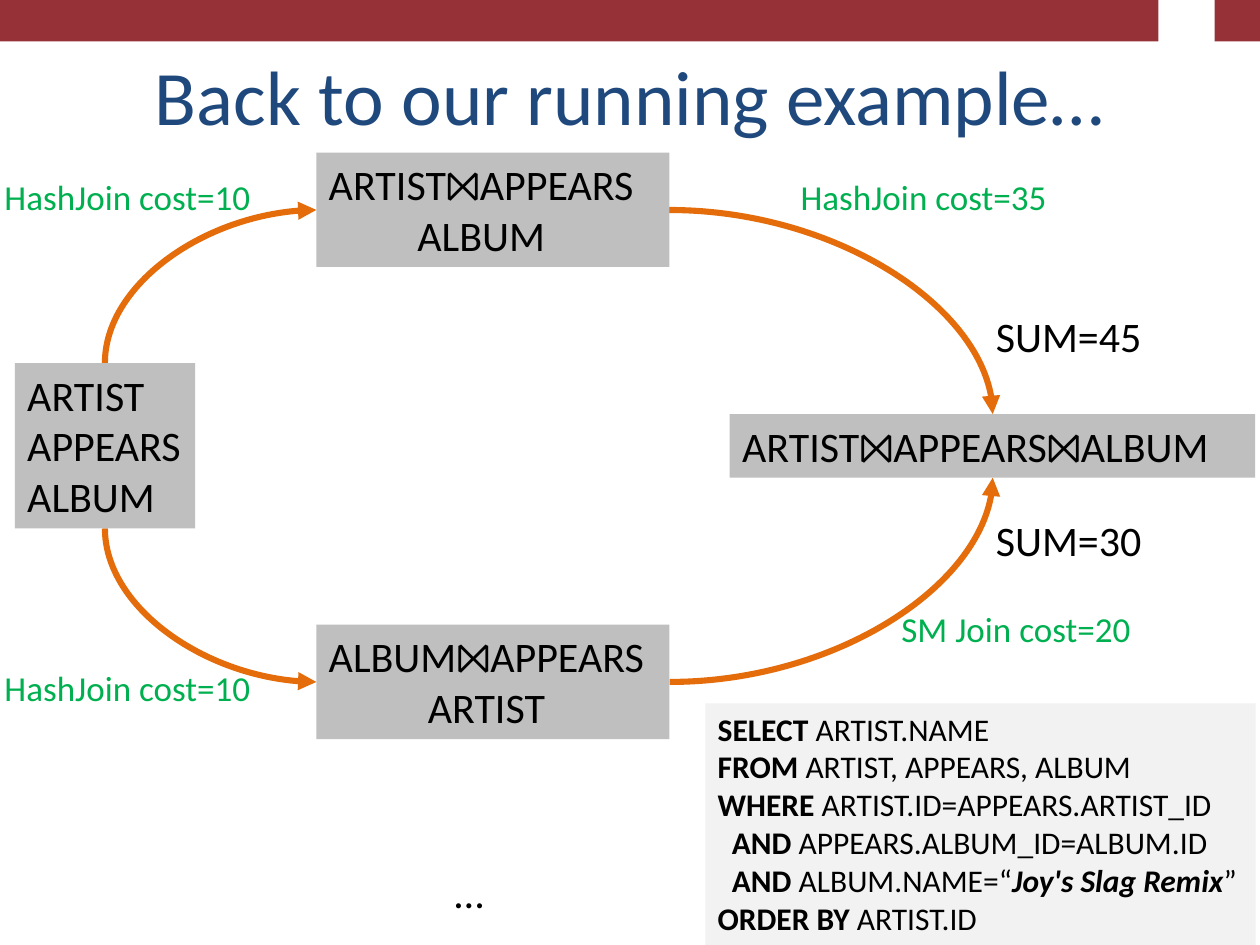
"""Build a slide comparing two join orders for the running SQL example."""
from lxml.etree import SubElement
from pptx import Presentation
from pptx.dml.color import RGBColor
from pptx.enum.shapes import MSO_CONNECTOR, MSO_SHAPE
from pptx.enum.text import MSO_ANCHOR, MSO_AUTO_SIZE, PP_ALIGN
from pptx.oxml.ns import qn
from pptx.util import Pt

RED = RGBColor(0x96, 0x32, 0x37)
NAVY = RGBColor(0x1F, 0x49, 0x7D)
ORANGE = RGBColor(0xE4, 0x6C, 0x0A)
GREEN = RGBColor(0x00, 0xB0, 0x50)
BLACK = RGBColor(0, 0, 0)
GRAY = RGBColor(0xBF, 0xBF, 0xBF)
PALE = RGBColor(0xF2, 0xF2, 0xF2)

deck = Presentation()
deck.slide_width, deck.slide_height = Pt(720), Pt(540)
page = deck.slides.add_slide(deck.slide_layouts[6])


def add_text(text, at, size=24, color=BLACK, fill=None, aligns=(PP_ALIGN.LEFT,),
             anchor=MSO_ANCHOR.TOP, wrap=False, italic=None):
    """Write paragraphs split by newline, lines by \\v and bold spans between bars."""
    place = [Pt(length) for length in at]
    if fill is None:
        box = page.shapes.add_textbox(*place)
    else:
        box = page.shapes.add_shape(MSO_SHAPE.RECTANGLE, *place)
        box.shadow.inherit = False
        box.fill.solid()
        box.fill.fore_color.rgb = fill
        box.line.fill.background()
    frame = box.text_frame
    frame.word_wrap = wrap
    frame.auto_size = MSO_AUTO_SIZE.NONE if wrap else MSO_AUTO_SIZE.SHAPE_TO_FIT_TEXT
    frame.vertical_anchor = anchor
    for index, content in enumerate(text.split("\n")):
        para = frame.paragraphs[0] if index == 0 else frame.add_paragraph()
        para.alignment = aligns[min(index, len(aligns) - 1)]
        para.font.size = Pt(size)
        for row, line in enumerate(content.split("\v")):
            if row:
                para.add_line_break()
            for order, piece in enumerate(line.split("|")):
                if piece:
                    span = para.add_run()
                    span.text = piece
                    span.font.name = "Calibri"
                    span.font.size = Pt(size)
                    span.font.color.rgb = color
                    span.font.bold = order % 2 == 1
                    span.font.italic = piece == italic


for left, width in ((0, 662), (694, 26)):
    band = page.shapes.add_shape(MSO_SHAPE.RECTANGLE, Pt(left), Pt(0), Pt(width), Pt(23.6))
    band.shadow.inherit = False
    band.fill.solid()
    band.fill.fore_color.rgb = RED
    band.line.fill.background()

for start, end, turn in (
    ((60, 207.4), (180.8, 120), 1),
    ((60, 302), (180.8, 389.7), -1),
    ((382.3, 120), (567.3, 236.6), 0),
    ((382.7, 389.7), (567.3, 273), 0),
):
    across, down = end[0] - start[0], end[1] - start[1]
    middle_x, middle_y = start[0] + across / 2, start[1] + down / 2
    if turn:
        across, down = turn * down, -turn * across
    arrow = page.shapes.add_connector(
        MSO_CONNECTOR.CURVE,
        Pt(middle_x - across / 2), Pt(middle_y - down / 2),
        Pt(middle_x + across / 2), Pt(middle_y + down / 2))
    arrow.line.color.rgb = ORANGE
    arrow.line.width = Pt(3.5)
    properties = arrow._element.spPr
    properties.find(qn("a:prstGeom")).set("prst", "curvedConnector2")
    if turn:
        properties.find(qn("a:xfrm")).set("rot", str(turn % 4 * 90 * 60000))
    SubElement(properties.find(qn("a:ln")), qn("a:tailEnd"), type="triangle")
    SubElement(properties, qn("a:effectLst"))

add_text("Back to our running example…", (36, 21.6, 648, 62.6), size=44, color=NAVY,
         aligns=(PP_ALIGN.CENTER,), anchor=MSO_ANCHOR.BOTTOM, wrap=True)

left_then_center = (PP_ALIGN.LEFT, PP_ALIGN.CENTER)
for text, at in (
    ("ARTIST\nAPPEARS\nALBUM", (8.5, 207.5, 103, 94.5)),
    ("ARTIST⨝APPEARS⨝ALBUM", (417, 236.7, 300.3, 36.3)),
):
    add_text(text, at, fill=GRAY)
for text, top in (("ARTIST⨝APPEARS\nALBUM", 87.2), ("ALBUM⨝APPEARS\nARTIST", 357)):
    add_text(text, (180.8, top, 201.7, 65.4), fill=GRAY, aligns=left_then_center)

for text, at in (
    ("…", (252.7, 491.8, 31.7, 36.3)),
    ("SUM=45", (562, 173.8, 98.6, 36.3)),
    ("SUM=30", (562, 290.4, 98.6, 36.3)),
):
    add_text(text, at)

for text, at, align in (
    ("HashJoin cost=10", (-4.5, 96.8, 156.2, 31.5), PP_ALIGN.LEFT),
    ("HashJoin cost=10", (-4.5, 377.5, 156.2, 31.5), PP_ALIGN.LEFT),
    ("HashJoin cost=35", (449, 96.8, 156.2, 31.5), PP_ALIGN.RIGHT),
    ("SM Join cost=20", (508, 343.8, 146.9, 31.5), PP_ALIGN.LEFT),
):
    add_text(text, at, size=20, color=GREEN, aligns=(align,))

add_text(
    "|SELECT |ARTIST.NAME\v|FROM |ARTIST, APPEARS, ALBUM\n"
    "|WHERE |ARTIST.ID=APPEARS.ARTIST_ID\v"
    "  |AND |APPEARS.ALBUM_ID=ALBUM.ID\v"
    "  |AND |ALBUM.NAME=“|Joy's Slag Remix|”\n"
    "|ORDER BY |ARTIST.ID",
    (403, 402, 314.5, 138), size=18, fill=PALE, italic="Joy's Slag Remix")

deck.save("out.pptx")
